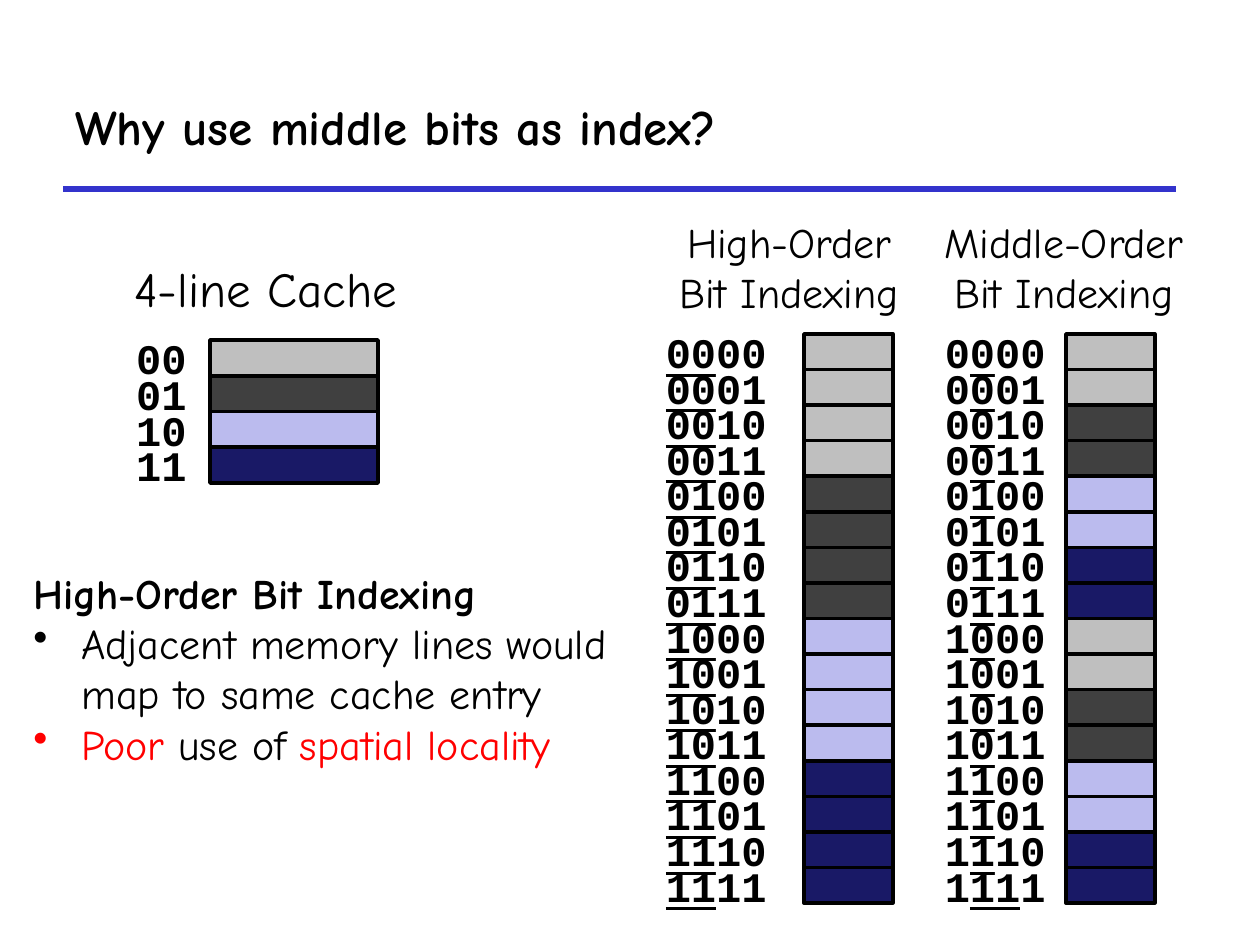
from dataclasses import dataclass

from lxml import etree
from pptx import Presentation
from pptx.dml.color import RGBColor
from pptx.enum.shapes import MSO_CONNECTOR, MSO_SHAPE
from pptx.enum.text import MSO_ANCHOR, PP_ALIGN
from pptx.oxml.ns import qn
from pptx.util import Pt

RECTANGLE = MSO_SHAPE.RECTANGLE
LEFT, CENTER, RIGHT = PP_ALIGN.LEFT, PP_ALIGN.CENTER, PP_ALIGN.RIGHT
TOP, MIDDLE = MSO_ANCHOR.TOP, MSO_ANCHOR.MIDDLE
EMU_PER_PX = 914400 / 126


@dataclass(frozen=True)
class Theme:
    text: str = "000000"
    accent: str = "FF0000"
    rule: str = "3333CC"
    background: str = "FFFFFF"
    # One (colour, opacity in percent) for each cache line
    cache_lines: tuple = (("808080", 50), ("404040", 100),
                          ("7878DE", 50), ("191966", 100))
    prose: str = "Comic Neue"
    code: str = "Courier New"
    large: int = 28
    normal: int = 24
    rule_width: int = 3
    border_width: int = 2


THEME = Theme()

TITLE = "Why use middle bits as index?"
TITLE_BOX = (63, 63, 1113, 126)
RULE = (63, 189, 1176, 189)

# index is the slice of address bits that selects the cache line
STACKS = [
    {"heading": ["4-line Cache"], "heading_box": (112, 252, 307, 72),
     "size": THEME.large, "bits": 2, "index": (0, 2), "underline": False,
     "label_left": 136, "bar_left": 210, "bar_width": 168,
     "top": 340, "height": 143},
    {"heading": ["High-Order", "Bit Indexing"], "heading_box": (653, 210, 272, 115),
     "size": THEME.normal, "bits": 4, "index": (0, 2), "underline": True,
     "label_left": 716, "bar_left": 804, "bar_width": 89,
     "top": 334, "height": 569},
    {"heading": ["Middle-Order", "Bit Indexing"], "heading_box": (914, 210, 300, 115),
     "size": THEME.normal, "bits": 4, "index": (1, 3), "underline": True,
     "label_left": 995, "bar_left": 1066, "bar_width": 89,
     "top": 334, "height": 569},
]
LABEL_WIDTH = 63

NOTES_BOX = (21, 561, 640, 217)
NOTES_HEADING = "High-Order Bit Indexing"
NOTES = [
    [("Adjacent memory lines would map to same cache entry", THEME.text)],
    [("Poor", THEME.accent), (" use of ", THEME.text),
     ("spatial locality", THEME.accent)],
]
BULLET_INDENT = 48


def px(value):
    return round(value * EMU_PER_PX)


def rgb(value):
    return RGBColor.from_string(value)


def style(paragraph, size, name=THEME.prose, bold=False, align=LEFT):
    paragraph.alignment = align
    font = paragraph.font
    font.name, font.size, font.bold = name, Pt(size), bold
    font.color.rgb = rgb(THEME.text)


def add_text(shapes, box, lines, size, bold=False, align=LEFT, anchor=TOP, wrap=True):
    frame = shapes.add_textbox(*map(px, box)).text_frame
    frame.word_wrap = wrap
    frame.vertical_anchor = anchor
    frame.text = "\n".join(lines)
    for paragraph in frame.paragraphs:
        style(paragraph, size, bold=bold, align=align)
    return frame


def add_rectangle(shapes, box, color, opacity=100, border=False):
    shape = shapes.add_shape(RECTANGLE, *map(px, box))
    shape.shadow.inherit = False
    shape.fill.solid()
    shape.fill.fore_color.rgb = rgb(color)
    if opacity < 100:
        fill_color = shape.fill._xPr.find(qn("a:solidFill"))[0]
        etree.SubElement(fill_color, qn("a:alpha"), val=str(opacity * 1000))
    if border:
        shape.line.color.rgb = rgb(THEME.text)
        shape.line.width = Pt(THEME.border_width)
    else:
        shape.line.fill.background()
    return shape


def add_address(shapes, box, address, index, underline):
    """Add a binary address, with its index bits underlined on request."""
    frame = add_rectangle(shapes, box, THEME.background).text_frame
    frame.word_wrap = False
    frame.vertical_anchor = MIDDLE
    paragraph = frame.paragraphs[0]
    style(paragraph, THEME.normal, THEME.code, bold=True, align=RIGHT)
    start, end = index
    parts = ((address[:start], False), (address[start:end], underline),
             (address[end:], False))
    for text, underlined in parts:
        if text:
            run = paragraph.add_run()
            run.text = text
            if underlined:
                run.font.underline = True


def add_stack(slide, stack):
    """Add one column of memory lines, coloured by the cache line they map to."""
    shapes = slide.shapes.add_group_shape().shapes
    add_text(shapes, stack["heading_box"], stack["heading"], stack["size"],
             align=CENTER, wrap=False)
    count = 2 ** stack["bits"]
    row_height = stack["height"] / count
    start, end = stack["index"]
    for row in range(count):
        address = format(row, f"0{stack['bits']}b")
        top = stack["top"] + row * row_height
        color, opacity = THEME.cache_lines[int(address[start:end], 2)]
        add_rectangle(shapes, (stack["bar_left"], top, stack["bar_width"], row_height),
                      color, opacity, border=True)
        add_address(shapes, (stack["label_left"], top, LABEL_WIDTH, row_height),
                    address, stack["index"], stack["underline"])


def add_rule(slide):
    line = slide.shapes.add_connector(MSO_CONNECTOR.STRAIGHT, *map(px, RULE))
    line.line.color.rgb = rgb(THEME.rule)
    line.line.width = Pt(THEME.rule_width)
    etree.SubElement(line._element.spPr, qn("a:effectLst"))


def add_notes(slide):
    frame = add_text(slide.shapes, NOTES_BOX, [NOTES_HEADING], THEME.normal, bold=True)
    for note in NOTES:
        paragraph = frame.add_paragraph()
        properties = paragraph._p.get_or_add_pPr()
        properties.set("marL", str(px(BULLET_INDENT)))
        properties.set("indent", str(-px(BULLET_INDENT)))
        etree.SubElement(properties, qn("a:buChar"), char="•")
        style(paragraph, THEME.normal)
        for text, color in note:
            run = paragraph.add_run()
            run.text = text
            run.font.color.rgb = rgb(color)


def main():
    presentation = Presentation()
    presentation.slide_width, presentation.slide_height = px(1260), px(945)
    slide = presentation.slides.add_slide(presentation.slide_layouts[6])
    add_rule(slide)
    add_text(slide.shapes, TITLE_BOX, [TITLE], THEME.large, bold=True, anchor=MIDDLE)
    for stack in STACKS:
        add_stack(slide, stack)
    add_notes(slide)
    presentation.save("out.pptx")


if __name__ == "__main__":
    main()
